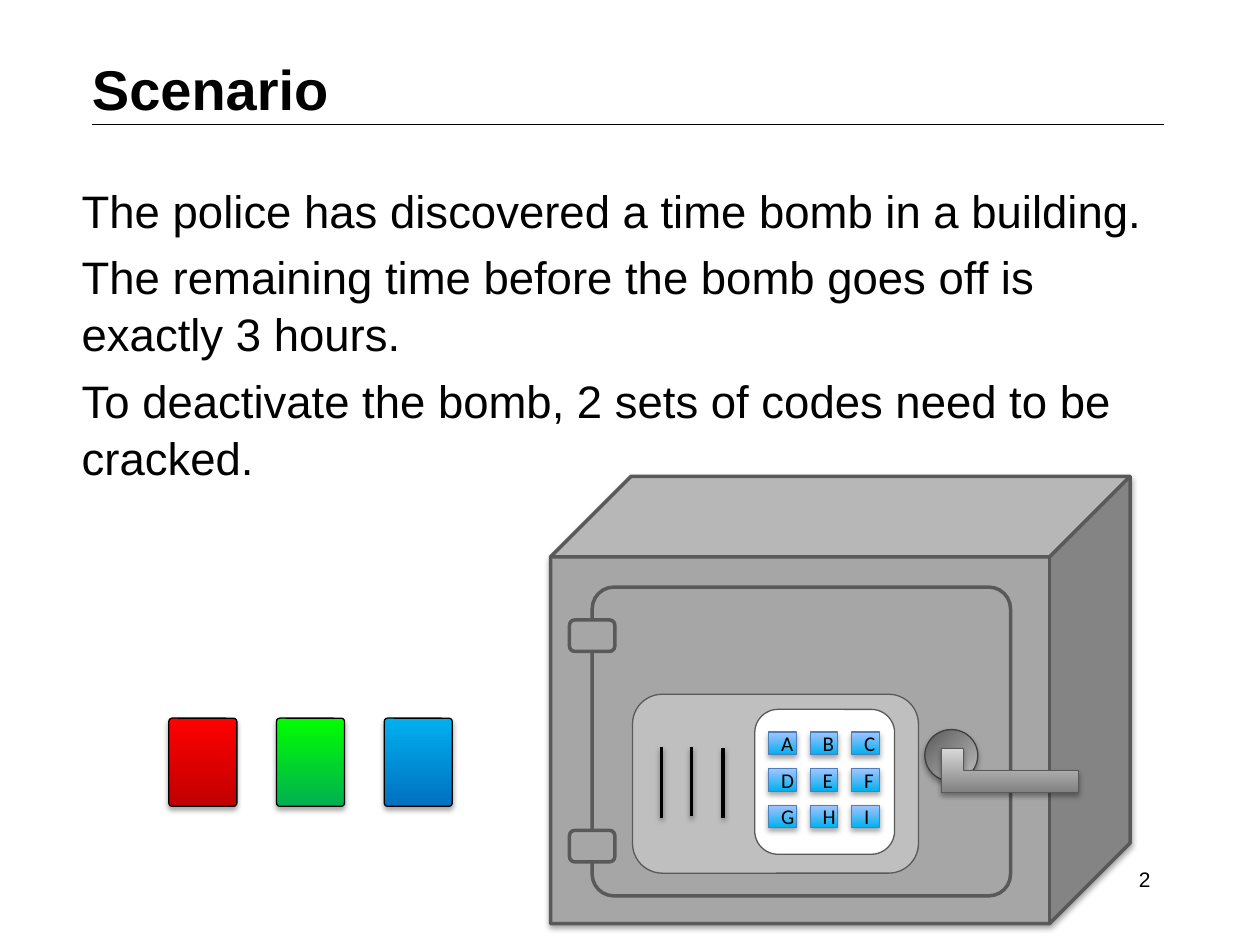
from lxml import etree
from pptx import Presentation
from pptx import util as u
from pptx.dml.color import RGBColor
from pptx.enum import shapes, text
from pptx.oxml import ns

# Content
TITLE = "Scenario"
STORY = [
    "The police has discovered a time bomb in a building.",
    "The remaining time before the bomb goes off is exactly 3 hours.",
    "To deactivate the bomb, 2 sets of codes need to be cracked.",
]
KEYS = ["ABC", "DEF", "GHI"]
CARDS = [("C00000", "FF0000"), ("00B050", "00FF00"), ("0070C0", "00B0F0")]
PAGE_NUMBER = "2"

# Safe parts: kind, box, fill, line width, corner adjustment, shadow opacity
KIND = shapes.MSO_SHAPE
SHADOW, SLOT_SHADOW = (35, 1.8), (38, 1.6)
SAFE = [
    (KIND.CUBE, (4.37, 3.78, 4.6, 3.55), "A6A6A6", 2, 0.18, SHADOW),
    (KIND.ROUNDED_RECTANGLE, (4.7, 4.66, 3.32, 2.45), "A6A6A6", 2, 0.07, None),
    (KIND.ROUNDED_RECTANGLE, (5.02, 5.51, 2.27, 1.42), "BFBFBF", 0.75, None, None),
    (KIND.ROUNDED_RECTANGLE, (4.52, 4.92, 0.36, 0.25), "A6A6A6", 2, None, None),
    (KIND.ROUNDED_RECTANGLE, (4.52, 6.59, 0.36, 0.25), "A6A6A6", 2, None, None),
    (KIND.ROUNDED_RECTANGLE, (5.99, 5.63, 1.11, 1.15), "FFFFFF", 0.75, None, None),
]
UPWARD, DOWN_RIGHT = 90, 315

presentation = Presentation()
presentation.slide_width, presentation.slide_height = u.Inches(10), u.Inches(7.5)
slide = presentation.slides.add_slide(presentation.slide_layouts[5])


def color(value):
    return RGBColor.from_string(value)


def inches(values):
    return [u.Inches(value) for value in values]


def set_effects(shape, shadow):
    """Replace the theme effects with one soft drop shadow, or with none."""
    effects = etree.SubElement(shape._element.spPr, ns.qn("a:effectLst"))
    if shadow:
        opacity, distance = shadow
        outer = etree.SubElement(
            effects, ns.qn("a:outerShdw"), blurRad=str(u.Pt(3.1)),
            dist=str(u.Pt(distance)), dir="5400000", rotWithShape="0")
        black = etree.SubElement(outer, ns.qn("a:srgbClr"), val="000000")
        etree.SubElement(black, ns.qn("a:alpha"), val=str(opacity * 1000))


def add_shape(kind, box, fill, line, width=0.75, adjustment=None, shadow=SHADOW,
              angle=UPWARD):
    shape = slide.shapes.add_shape(kind, *inches(box))
    if isinstance(fill, tuple):
        shape.fill.gradient()
        shape.fill.gradient_angle = angle
        for stop, value in zip(shape.fill.gradient_stops, fill):
            stop.color.rgb = color(value)
    else:
        shape.fill.solid()
        shape.fill.fore_color.rgb = color(fill)
    shape.line.color.rgb = color(line)
    shape.line.width = u.Pt(width)
    if adjustment is not None:
        shape.adjustments[0] = adjustment
    set_effects(shape, shadow)
    return shape


def add_line(start, end, width, shadow=None):
    line = slide.shapes.add_connector(
        shapes.MSO_CONNECTOR.STRAIGHT, *inches(start + end))
    line.line.color.rgb = color("000000")
    line.line.width = u.Pt(width)
    set_effects(line, shadow)


def write(shape, lines, size, font="Arial", bold=False, align=text.PP_ALIGN.LEFT,
          anchor=text.MSO_ANCHOR.TOP, indent=0, **spacing):
    frame = shape.text_frame
    frame.word_wrap = True
    frame.auto_size = text.MSO_AUTO_SIZE.NONE
    frame.vertical_anchor = anchor
    frame.text = "\n".join(lines)
    formats = {"name": font, "size": u.Pt(size), "bold": bold}
    for number, paragraph in enumerate(frame.paragraphs):
        paragraph.alignment = align
        if indent:
            properties = paragraph._p.get_or_add_pPr()
            properties.set("marL", str(u.Inches(indent)))
            properties.set("indent", "0")
        for name, value in spacing.items():
            if number or name != "space_before":
                setattr(paragraph, name, value)
        for name, value in formats.items():
            setattr(paragraph.font, name, value)
        paragraph.font.color.rgb = color("000000")


# Title and rule
title = slide.shapes.title
title.left, title.top, title.width, title.height = inches((0.63, 0.32, 5.9, 0.76))
write(title, [TITLE], 32, bold=True, anchor=text.MSO_ANCHOR.MIDDLE)
add_line((0.73, 0.99), (9.24, 0.99), 0.25)

# Safe body, door, hinges and panel
for kind, box, fill, width, adjustment, shadow in SAFE:
    add_shape(kind, box, fill, "595959", width, adjustment, shadow)

# Keypad
for row, letters in enumerate(KEYS):
    for column, letter in enumerate(letters):
        box = (6.1 + 0.33 * column, 5.81 + 0.29 * row, 0.22, 0.18)
        key = add_shape(KIND.RECTANGLE, box, ("00B0F0", "A4C4FF"), "4B7EBC")
        write(key, [letter], 12, font="Calibri", align=text.PP_ALIGN.CENTER,
              anchor=text.MSO_ANCHOR.MIDDLE)

# Story
story = slide.shapes.add_textbox(*inches((0.17, 1.38, 9.23, 2.59)))
write(story, STORY, 26, indent=0.38, space_before=u.Pt(5.2), line_spacing=1.05)

# Knob and handle
add_shape(KIND.OVAL, (7.34, 5.79, 0.42, 0.41), ("595959", "BFBFBF"), "404040",
          angle=DOWN_RIGHT)
add_shape(KIND.CORNER, (7.47, 5.94, 1.09, 0.35), ("808080", "D9D9D9"), "595959")

# Coloured cards
for number, gradient in enumerate(CARDS):
    add_shape(KIND.ROUNDED_RECTANGLE, (1.34 + 0.855 * number, 5.7, 0.54, 0.7),
              gradient, "000000", adjustment=0.05)

# Speaker slots
for x, top, bottom in [(5.74, 5.94, 6.49), (5.49, 5.93, 6.48), (5.25, 5.93, 6.49)]:
    add_line((x, bottom), (x, top), 2, SLOT_SHADOW)

# Page number
page_number = slide.shapes.add_textbox(*inches((6.9, 6.83, 2.33, 0.4)))
write(page_number, [PAGE_NUMBER], 12, align=text.PP_ALIGN.RIGHT)

presentation.save("out.pptx")
